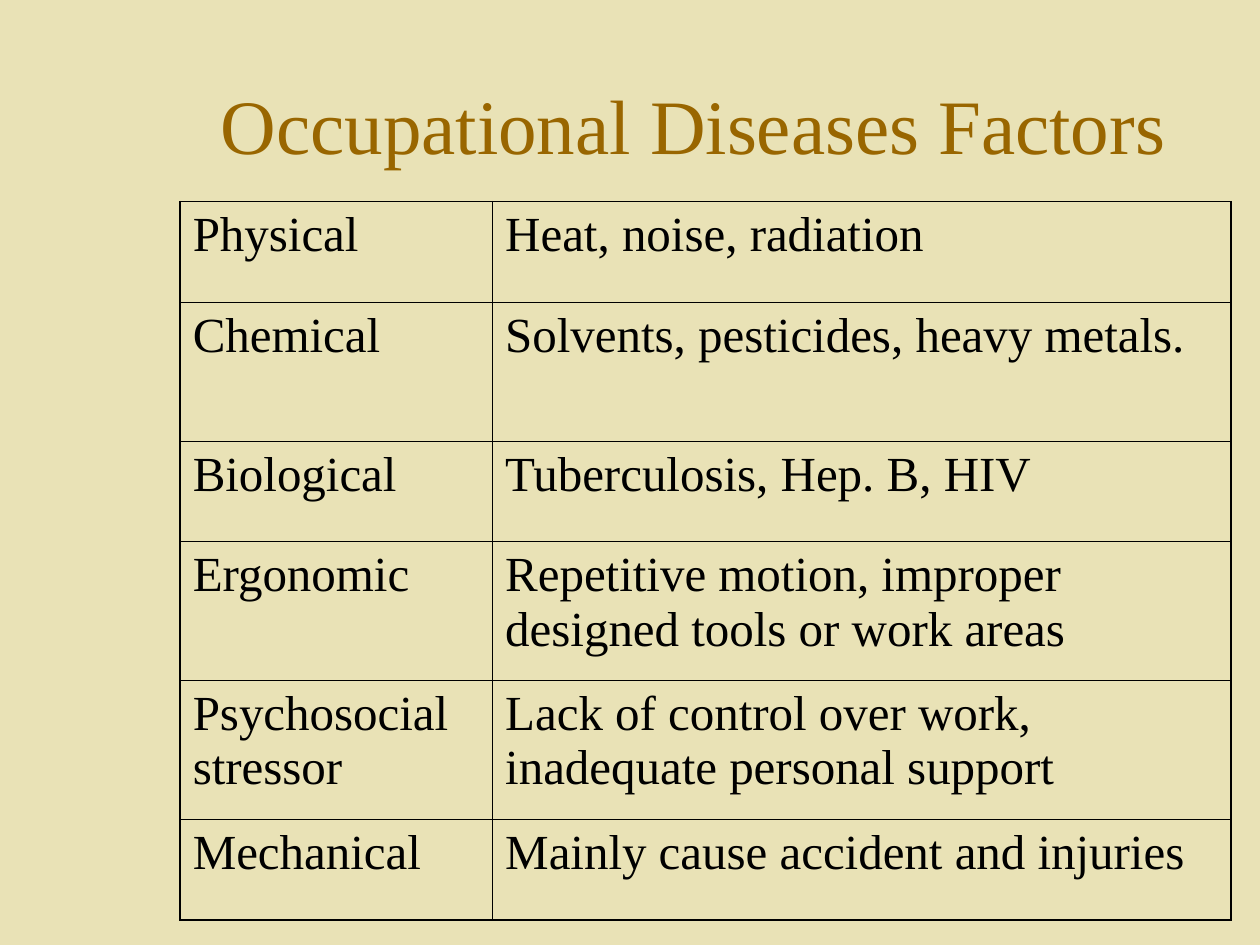
from lxml.etree import SubElement
from pptx import Presentation
from pptx.dml.color import RGBColor
from pptx.enum.text import MSO_ANCHOR, PP_ALIGN
from pptx.oxml.ns import qn
from pptx.util import Inches, Pt

BLACK = "000000"
THICK, THIN = 1.08, 0.45


def rgb(value):
    return RGBColor.from_string(value)


def write(tf, text, size, color, **formats):
    p = tf.paragraphs[0]
    for name, value in formats.items():
        setattr(p, name, value)
    r = p.add_run()
    r.text = text
    for name, value in {"name": "Times New Roman", "size": Pt(size)}.items():
        setattr(r.font, name, value)
    r.font.color.rgb = rgb(color)


prs = Presentation()
prs.slide_width, prs.slide_height = Inches(10), Inches(7.5)
s = prs.slides.add_slide(prs.slide_layouts[6])
s.background.fill.solid()
s.background.fill.fore_color.rgb = rgb("E9E2B6")

title = s.shapes.add_textbox(Inches(1.38), Inches(0.36), Inches(8.25), Inches(1.25))
tf = title.text_frame
for name, value in {"word_wrap": True, "vertical_anchor": MSO_ANCHOR.MIDDLE}.items():
    setattr(tf, name, value)
write(tf, "Occupational Diseases Factors", 44, "996600", alignment=PP_ALIGN.CENTER)

factors = [
    ("Physical", "Heat, noise, radiation", 0.8),
    ("Chemical", "Solvents, pesticides, heavy metals.", 1.1),
    ("Biological", "Tuberculosis, Hep. B, HIV", 0.8),
    ("Ergonomic", "Repetitive motion, improper designed tools or work areas", 1.1),
    ("Psychosocial stressor", "Lack of control over work, inadequate personal support", 1.1),
    ("Mechanical", "Mainly cause accident and injuries", 0.8),
]
last = len(factors) - 1
table = s.shapes.add_table(
    len(factors), 2, Inches(1.43), Inches(1.6), Inches(8.34), Inches(5.7)
).table
table.first_row = table.horz_banding = False
for col, width in zip(table.columns, (2.48, 5.86)):
    col.width = Inches(width)

for i, (factor, examples, height) in enumerate(factors):
    table.rows[i].height = Inches(height)
    for j, text in enumerate((factor, examples)):
        cell = table.cell(i, j)
        write(cell.text_frame, text, 28, BLACK, space_before=Pt(7))
        tcPr = cell._tc.get_or_add_tcPr()
        outer = {"L": j == 0, "R": j == 1, "T": i == 0, "B": i == last}
        for side, is_outer in outer.items():
            width = Pt(THICK if is_outer else THIN)
            ln = SubElement(tcPr, qn(f"a:ln{side}"), w=str(width))
            SubElement(SubElement(ln, qn("a:solidFill")), qn("a:srgbClr"), val=BLACK)
        cell.fill.background()

prs.save("out.pptx")
